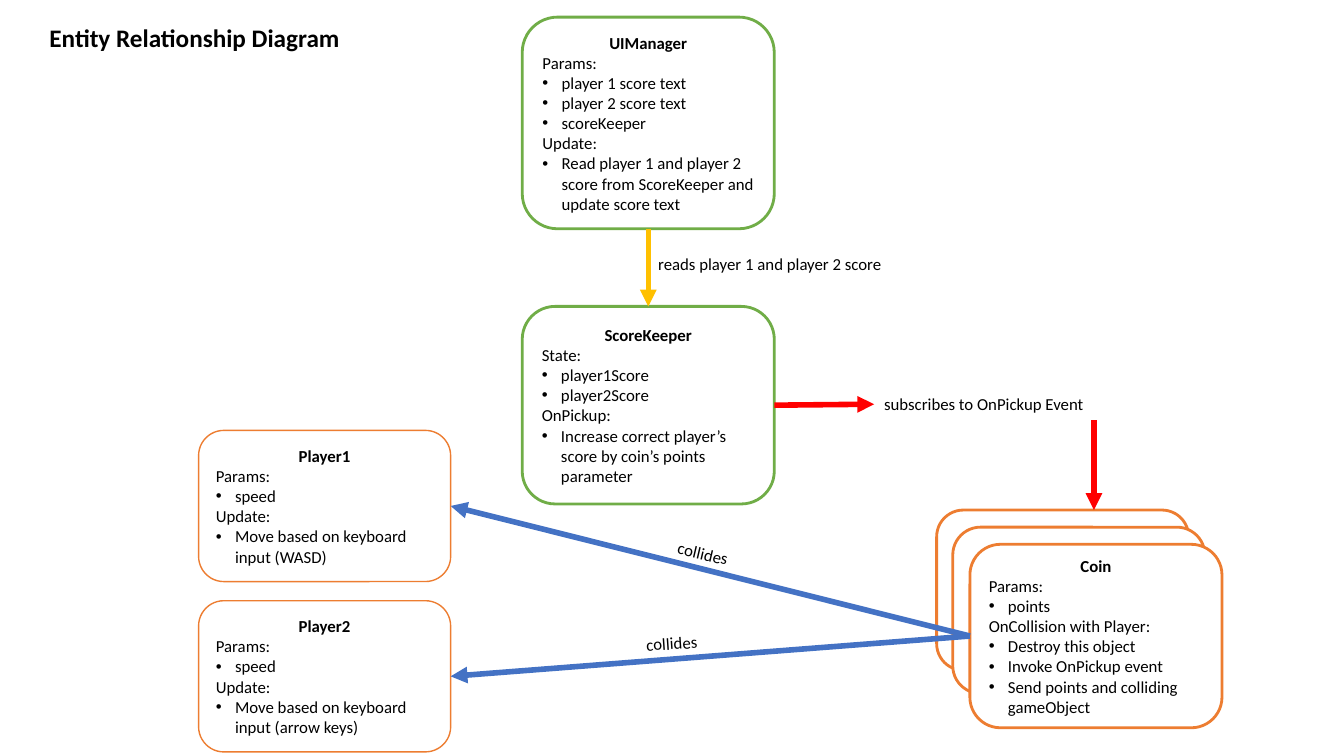
from pptx import Presentation
from pptx.dml.color import RGBColor
from pptx.enum.shapes import MSO_CONNECTOR, MSO_SHAPE
from pptx.enum.text import MSO_ANCHOR, MSO_AUTO_SIZE, PP_ALIGN
from pptx.oxml.ns import qn
from pptx.util import Inches, Pt
from lxml.etree import SubElement

BLACK = RGBColor(0x00, 0x00, 0x00)
WHITE = RGBColor(0xFF, 0xFF, 0xFF)
GREEN = RGBColor(0x70, 0xAD, 0x47)
ORANGE = RGBColor(0xED, 0x7D, 0x31)
YELLOW = RGBColor(0xFF, 0xC0, 0x00)
RED = RGBColor(0xFF, 0x00, 0x00)
BLUE = RGBColor(0x44, 0x72, 0xC4)

TOP, LEFT, BOTTOM, RIGHT = range(4)
BOX_WIDTH = 2.5


class Diagram:
    font = "Calibri"
    body_size = 12
    title_size = 18
    bullet_indent = 0.19

    def __init__(self, slide):
        self.slide = slide

    def style(self, paragraph, size, bold=False, align=PP_ALIGN.LEFT):
        paragraph.alignment = align
        paragraph.font.name = self.font
        paragraph.font.size = Pt(size)
        paragraph.font.bold = bold
        paragraph.font.color.rgb = BLACK

    def fit(self, frame):
        frame.word_wrap = False
        frame.auto_size = MSO_AUTO_SIZE.SHAPE_TO_FIT_TEXT
        frame.vertical_anchor = MSO_ANCHOR.TOP

    def title(self, text, left, top, width, height):
        title = self.slide.shapes.title
        title.left, title.top = Inches(left), Inches(top)
        title.width, title.height = Inches(width), Inches(height)
        title.text_frame.text = text
        self.fit(title.text_frame)
        self.style(title.text_frame.paragraphs[0], self.title_size, bold=True)

    def bullet(self, paragraph):
        properties = paragraph._p.get_or_add_pPr()
        properties.set("marL", str(Inches(self.bullet_indent)))
        properties.set("indent", str(-Inches(self.bullet_indent)))
        SubElement(properties, qn("a:buFont")).set("typeface", "Arial")
        SubElement(properties, qn("a:buChar")).set("char", "•")

    def entity(self, left, top, height, color, line_width, name="", sections=()):
        box = self.slide.shapes.add_shape(
            MSO_SHAPE.ROUNDED_RECTANGLE,
            Inches(left), Inches(top), Inches(BOX_WIDTH), Inches(height))
        box.shadow.inherit = False
        box.fill.solid()
        box.fill.fore_color.rgb = WHITE
        box.line.color.rgb = color
        box.line.width = Pt(line_width)
        frame = box.text_frame
        frame.word_wrap = True
        frame.vertical_anchor = MSO_ANCHOR.MIDDLE
        heading = frame.paragraphs[0]
        heading.text = name
        self.style(heading, self.body_size, bold=True, align=PP_ALIGN.CENTER)
        for section, items in sections:
            for text in (section, *items):
                paragraph = frame.add_paragraph()
                paragraph.text = text
                self.style(paragraph, self.body_size)
                if text != section:
                    self.bullet(paragraph)
        return box

    def label(self, text, left, top, width, rotation=0):
        label = self.slide.shapes.add_textbox(
            Inches(left), Inches(top), Inches(width), Inches(0.3))
        label.rotation = rotation
        label.text_frame.text = text
        self.fit(label.text_frame)
        self.style(label.text_frame.paragraphs[0], self.body_size)
        return label

    def arrow(self, color, start=(0, 0), end=(0, 0), source=None, target=None):
        arrow = self.slide.shapes.add_connector(
            MSO_CONNECTOR.STRAIGHT, *map(Inches, (*start, *end)))
        if source:
            arrow.begin_connect(*source)
        if target:
            arrow.end_connect(*target)
        arrow.line.color.rgb = color
        arrow.line.width = Pt(4)
        SubElement(arrow.line._get_or_add_ln(), qn("a:tailEnd")).set("type", "triangle")
        SubElement(arrow._element.spPr, qn("a:effectLst"))


def main():
    presentation = Presentation()
    presentation.slide_width = Inches(13.33)
    presentation.slide_height = Inches(7.5)
    title_only = presentation.slide_layouts[5]
    diagram = Diagram(presentation.slides.add_slide(title_only))
    diagram.title("Entity Relationship Diagram", 0.39, 0.17, 3.21, 0.4)

    # Score display and score keeping
    ui_manager = diagram.entity(5.18, 0.17, 2.1, GREEN, 2, "UIManager", [
        ("Params:", ["player 1 score text", "player 2 score text", "scoreKeeper"]),
        ("Update:", ["Read player 1 and player 2 score from ScoreKeeper "
                     "and update score text"]),
    ])
    score_keeper = diagram.entity(5.18, 3.04, 1.96, GREEN, 2, "ScoreKeeper", [
        ("State:", ["player1Score", "player2Score"]),
        ("OnPickup:", ["Increase correct player’s score by coin’s points parameter"]),
    ])

    # Stack of coins, back to front
    diagram.entity(9.29, 5.06, 1.59, ORANGE, 2)
    diagram.entity(9.45, 5.23, 1.65, ORANGE, 2)
    coin = diagram.entity(9.62, 5.4, 1.82, ORANGE, 2, "Coin", [
        ("Params:", ["points"]),
        ("OnCollision with Player:", ["Destroy this object", "Invoke OnPickup event",
                                      "Send points and colliding gameObject"]),
    ])

    # Players, each hit by the coin
    for name, keys, top in (("Player1", "WASD", 4.27), ("Player2", "arrow keys", 5.96)):
        player = diagram.entity(1.97, top, 1.5, ORANGE, 1, name, [
            ("Params:", ["speed"]),
            ("Update:", [f"Move based on keyboard input ({keys})"]),
        ])
        diagram.arrow(BLUE, source=(coin, LEFT), target=(player, RIGHT))
    diagram.label("collides", 6.62, 5.34, 0.72, rotation=13.2)
    diagram.label("collides", 6.31, 6.23, 0.72, rotation=356.1)

    # Score reading and event subscription
    diagram.arrow(YELLOW, source=(ui_manager, BOTTOM), target=(score_keeper, TOP))
    diagram.label("reads player 1 and player 2 score", 6.43, 2.47, 2.44)
    subscription = diagram.label("subscribes to OnPickup Event", 8.67, 3.86, 2.2)
    diagram.arrow(RED, source=(score_keeper, RIGHT), target=(subscription, LEFT))
    diagram.arrow(RED, start=(10.85, 4.17), end=(10.85, 5.06))

    presentation.save("out.pptx")


if __name__ == "__main__":
    main()
